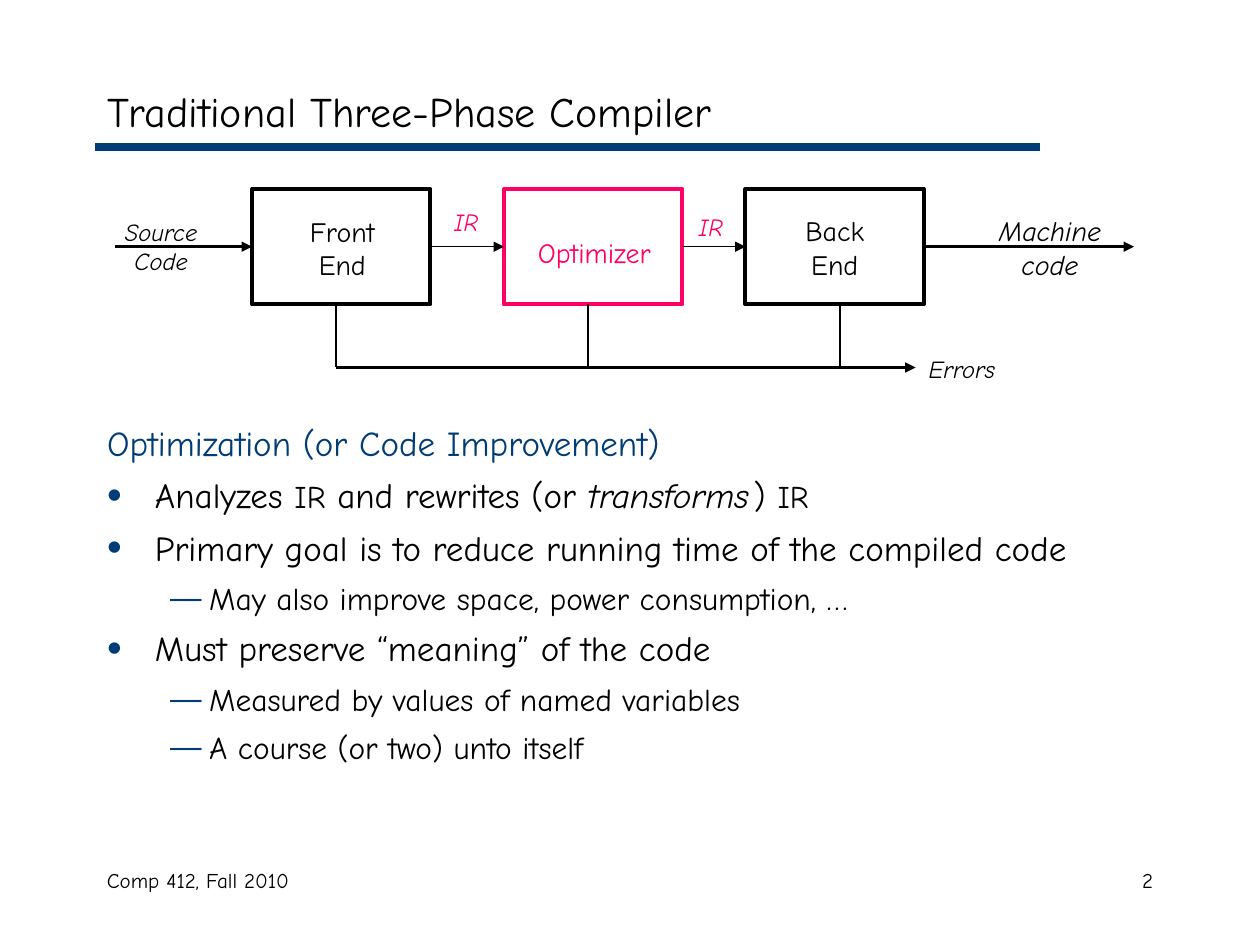
from lxml.etree import SubElement
from pptx import Presentation
from pptx.dml.color import RGBColor
from pptx.enum.shapes import MSO_CONNECTOR, MSO_SHAPE
from pptx.enum.text import MSO_ANCHOR, MSO_AUTO_SIZE, PP_ALIGN
from pptx.oxml.ns import qn
from pptx.util import Inches, Pt

FONT = "Comic Neue"
BLACK, BLUE, PINK = "000000", "003C75", "FF0065"
LEFT, MID, RIGHT = PP_ALIGN.LEFT, PP_ALIGN.CENTER, PP_ALIGN.RIGHT
hue = RGBColor.from_string

# Grid of 120 columns by 90 rows, twelve to the inch
deck = Presentation()
deck.slide_width, deck.slide_height = Inches(10), Inches(7.5)
unit = deck.slide_width / 120
slide = deck.slides.add_slide(deck.slide_layouts[1])
shapes = slide.shapes


def line(x1, y1, x2, y2, width, color=BLACK, arrow=False):
    ends = [round(n * unit) for n in (x1, y1, x2, y2)]
    link = shapes.add_connector(MSO_CONNECTOR.STRAIGHT, *ends)
    link.line.width = Pt(width)
    link.line.color.rgb = hue(color)
    props = link._element.spPr
    if arrow:
        SubElement(props.find(qn("a:ln")), qn("a:tailEnd"), type="triangle")
    SubElement(props, qn("a:effectLst"))


def write(frame, rows, size, color=BLACK, align=LEFT, slant=False):
    frame.text = rows
    for para in frame.paragraphs:
        para.alignment = align
        para.font.name = FONT
        para.font.size = Pt(size)
        para.font.italic = slant
        para.font.color.rgb = hue(color)


# Title and the rule below it
title = shapes.title
title.left, title.top, title.width, title.height = [
    round(n * unit) for n in (9, 7, 102, 7)]
write(title.text_frame, "Traditional Three-Phase Compiler", 24)
title.text_frame.vertical_anchor = MSO_ANCHOR.MIDDLE
title.text_frame.auto_size = MSO_AUTO_SIZE.NONE
line(9, 14, 99, 14, 4.5, BLUE)

# Phase boxes, each with a drop to the error line
top, wide, high = 18, 17, 11
base, errors = top + high, 35
flow = top + high / 2
phases = [(24, BLACK), (48, PINK), (71, BLACK)]
for x, color in phases:
    box = shapes.add_shape(MSO_SHAPE.RECTANGLE, *[
        round(n * unit) for n in (x, top, wide, high)])
    box.shadow.inherit = False
    box.fill.background()
    box.line.color.rgb = hue(color)
    box.line.width = Pt(2.25)
for x in (32, 56, 80):
    line(x, base, x, errors, 1.5)
line(32, errors, 87.2, errors, 1.5, arrow=True)

# Flow from source to machine code
for x1, x2, width in [(11, 24, 1.5), (41, 48, 0.75),
                      (65, 71, 0.75), (88, 108, 1.5)]:
    line(x1, flow, x2, flow, width, arrow=True)

# Labels and footer: place, text, size, colour, alignment, italic
labels = [
    (10.6, 20.05, 9.5, 6.8, "Source\nCode", 14, BLACK, MID, True),
    (28.1, 19.8, 9, 7.7, "Front\nEnd", 16, BLACK, MID, False),
    (49.6, 20.4, 14, 5.9, "Optimizer", 16, PINK, MID, False),
    (75, 19.75, 9, 7.7, "Back\nEnd", 16, BLACK, MID, False),
    (92, 19.75, 16, 7.7, "Machine\ncode", 16, BLACK, MID, True),
    (41.9, 19.1, 5, 4.1, "IR", 14, PINK, MID, True),
    (65.2, 19.6, 5, 4.1, "IR", 14, PINK, MID, True),
    (87.25, 33.1, 10, 4.1, "Errors", 14, BLACK, LEFT, True),
    (9, 82, 38, 6, "Comp 412, Fall 2010", 12, BLACK, LEFT, False),
    (86, 82, 25, 6, "2", 12, BLACK, RIGHT, False),
]
for *place, words, size, color, align, slant in labels:
    label = shapes.add_textbox(*[round(n * unit) for n in place])
    frame = label.text_frame
    frame.word_wrap = True
    write(frame, words, size, color, align, slant)
    if words == "Optimizer":
        frame.paragraphs[0].line_spacing = 1.45

# Body list: level, then runs of text, size and italic
points = [
    (None, [("Optimization (or Code Improvement)", 20, False)]),
    (0, [("Analyzes ", 20, False), ("IR", 18, False),
         (" and rewrites (or ", 20, False), ("transforms", 20, True),
         (" ", 8, True), (") ", 20, False), ("IR", 18, False)]),
    (0, [("Primary goal is to reduce running time of the compiled code",
          20, False)]),
    (1, [("May also improve space, power consumption, …", 18, False)]),
    (0, [("Must preserve “meaning” of the code", 20, False)]),
    (1, [("Measured by values of named variables", 18, False)]),
    (1, [("A course (or two) unto itself", 18, False)]),
]
marks = [("•", 0.38, 0.38, "120000"), ("—", 0.81, 0.31, "100000")]
body = slide.placeholders[1]
body.left, body.top, body.width, body.height = [
    round(n * unit) for n in (9, 39.5, 102, 40.5)]
frame = body.text_frame
frame.auto_size = MSO_AUTO_SIZE.NONE
for i, (level, runs) in enumerate(points):
    para = frame.add_paragraph() if i else frame.paragraphs[0]
    head = level is None
    para.level = level or 0
    mark, left, hang, scale = marks[para.level]
    props = para._p.get_or_add_pPr()
    props.set("marL", str(Inches(left)))
    props.set("indent", str(-Inches(hang)))
    if head:
        SubElement(props, qn("a:buNone"))
    else:
        tint = SubElement(props, qn("a:buClr"))
        SubElement(tint, qn("a:srgbClr"), val=BLUE)
        SubElement(props, qn("a:buSzPct"), val=scale)
        SubElement(props, qn("a:buChar"), char=mark)
    para.space_before = Pt(0 if head else 6)
    para.font.name = FONT
    para.font.color.rgb = hue(BLUE if head else BLACK)
    for words, size, slant in runs:
        run = para.add_run()
        run.text = words
        run.font.size = Pt(size)
        run.font.italic = slant

deck.save("out.pptx")
